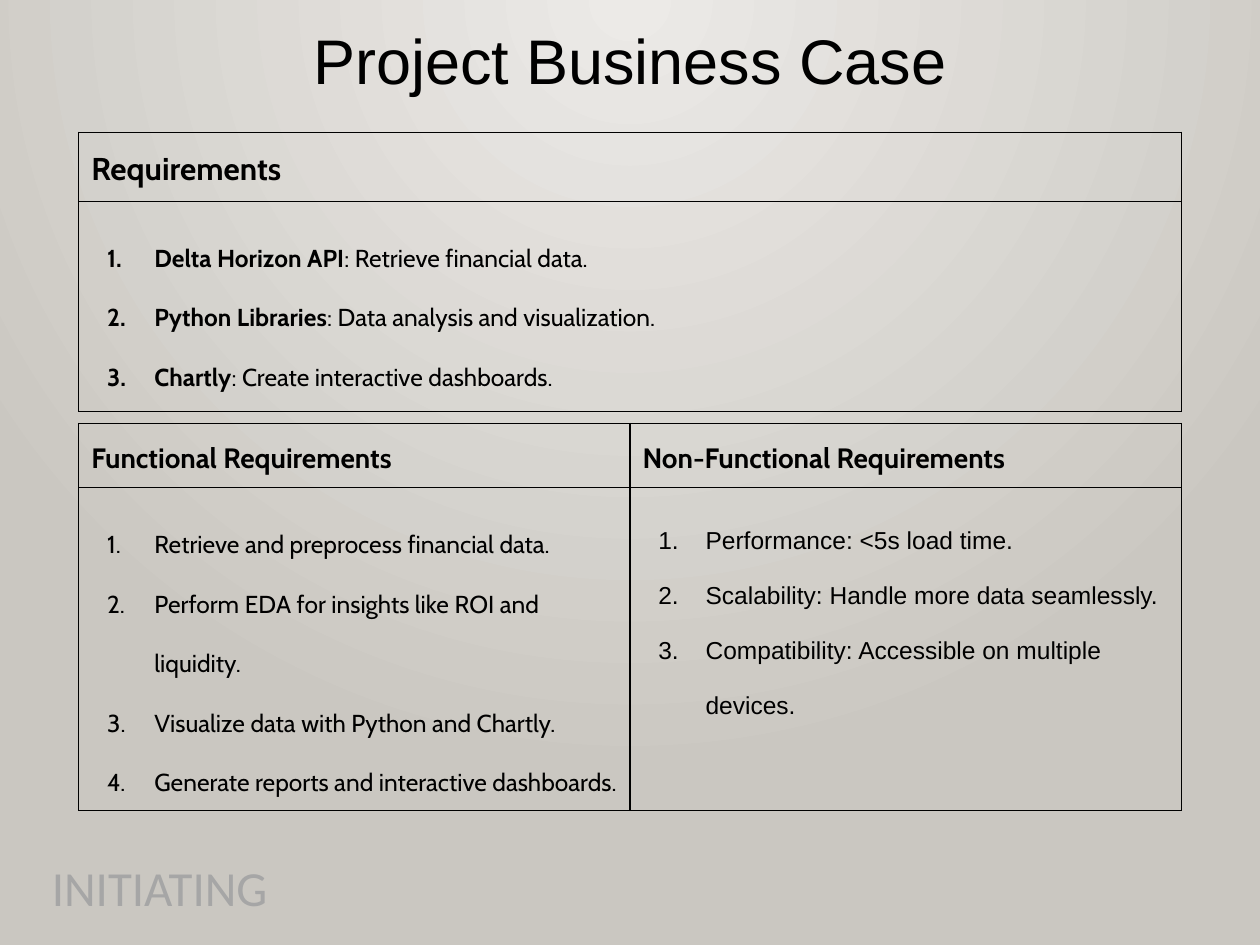
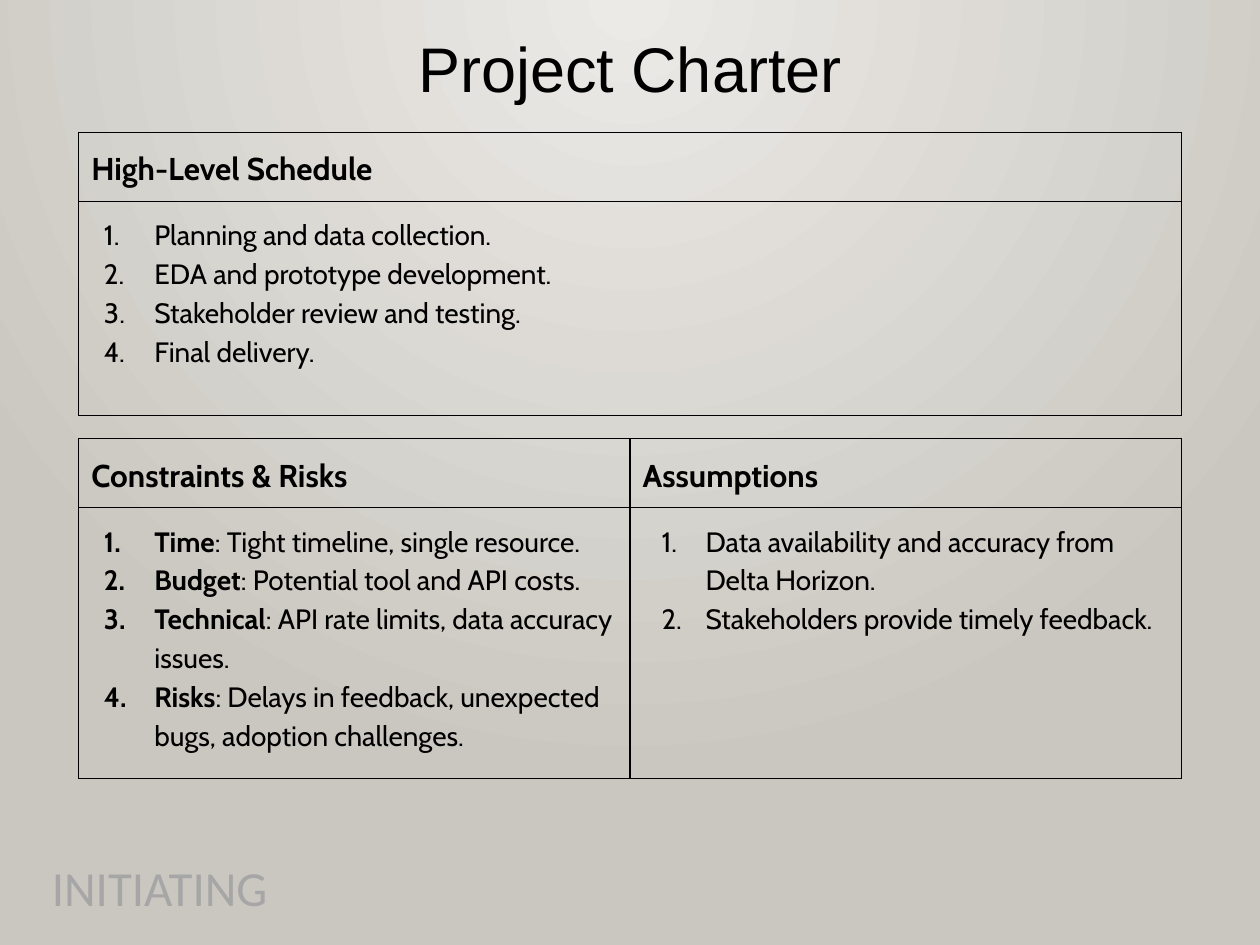
from dataclasses import dataclass

from lxml.etree import SubElement
from pptx import Presentation
from pptx.dml.color import RGBColor
from pptx.enum.text import MSO_ANCHOR, PP_ALIGN
from pptx.oxml import parse_xml
from pptx.oxml.ns import nsdecls, qn
from pptx.util import Pt

COLORS = {"text": "000000", "border": "000000", "footer": "A6A6A6",
          "bg_center": "ECEAE7", "bg_edge": "CAC7C1"}
TITLE_FONT, BODY_FONT, FOOTER_FONT = "Arial", "Cabin", "Calibri"
SLIDE_W, SLIDE_H = 720, 540
TABLE_LEFT, TABLE_W = 45, 630
CELL_MARGIN = 7.2
LIST_INDENT = 36
BORDER_W = 0.75


@dataclass
class Column:
    heading: str
    items: list[str]  # a "Label: text" item has a bold label if bold_labels is set
    bold_labels: bool = False
    font: str = BODY_FONT
    hanging: float = 27


@dataclass
class Grid:
    top: float
    row_heights: tuple[float, float]
    columns: list[Column]
    heading_size: float
    item_size: float
    item_spacing: float


@dataclass
class Page:
    title: str
    title_top: float
    title_height: float
    grids: list[Grid]


PAGES = [
    Page("Project Business Case", 15, 43, [
        Grid(75.5, (39.5, 120), [
            Column("Requirements", [
                "Delta Horizon API: Retrieve financial data.",
                "Python Libraries: Data analysis and visualization.",
                "Chartly: Create interactive dashboards.",
            ], bold_labels=True),
        ], 18, 14, 2),
        Grid(242, (36.5, 184.5), [
            Column("Functional Requirements", [
                "Retrieve and preprocess financial data.",
                "Perform EDA for insights like ROI and liquidity.",
                "Visualize data with Python and Chartly.",
                "Generate reports and interactive dashboards.",
            ]),
            Column("Non-Functional Requirements", [
                "Performance: <5s load time.",
                "Scalability: Handle more data seamlessly.",
                "Compatibility: Accessible on multiple devices.",
            ], font=TITLE_FONT),
        ], 16, 14, 2),
    ]),
    Page("Project Charter", 0, 82.5, [
        Grid(75.5, (39.5, 122.5), [
            Column("High-Level Schedule", [
                "Planning and data collection.",
                "EDA and prototype development.",
                "Stakeholder review and testing.",
                "Final delivery.",
            ], hanging=28.8),
        ], 18, 16, 1.15),
        Grid(250.5, (39.5, 155), [
            Column("Constraints & Risks", [
                "Time: Tight timeline, single resource.",
                "Budget: Potential tool and API costs.",
                "Technical: API rate limits, data accuracy issues.",
                "Risks: Delays in feedback, unexpected bugs, adoption challenges.",
            ], bold_labels=True, hanging=28.8),
            Column("Assumptions", [
                "Data availability and accuracy from Delta Horizon.",
                "Stakeholders provide timely feedback.",
            ], hanging=25.2),
        ], 18, 16, 1.15),
    ]),
]


def add_run(p, text: str, font: str, size: float, bold: bool = False,
            color: str = "text") -> None:
    r = p.add_run()
    r.text = text
    r.font.name, r.font.size, r.font.bold = font, Pt(size), bold
    r.font.color.rgb = RGBColor.from_string(COLORS[color])


def set_background(master) -> None:
    """Circular gradient centred on the top edge."""
    fill = master.background.fill
    fill.gradient()
    for stop, name in zip(fill.gradient_stops, ("bg_center", "bg_edge")):
        stop.color.rgb = RGBColor.from_string(COLORS[name])
    first, last = fill.gradient_stops
    first.position, last.position = 0, 1
    grad = master.element.find(".//" + qn("a:gradFill"))
    grad.replace(grad.find(qn("a:lin")), parse_xml(
        f'<a:path {nsdecls("a")} path="circle">'
        '<a:fillToRect l="43000" t="0" r="43000" b="100000"/></a:path>'))


def add_label(s, text: str, box: tuple[float, float, float, float], font: str,
              size: float, align: PP_ALIGN, color: str = "text") -> None:
    tf = s.shapes.add_textbox(*map(Pt, box)).text_frame
    tf.word_wrap = True
    tf.vertical_anchor = MSO_ANCHOR.MIDDLE
    p = tf.paragraphs[0]
    p.alignment, p.line_spacing = align, 0.9
    add_run(p, text, font, size, color=color)


def style_cell(cell) -> None:
    cell.margin_left = cell.margin_right = Pt(CELL_MARGIN)
    cell.margin_top = cell.margin_bottom = Pt(CELL_MARGIN)
    tc_pr = cell._tc.get_or_add_tcPr()
    for i, side in enumerate(("lnL", "lnR", "lnT", "lnB")):
        tc_pr.insert(i, parse_xml(
            f'<a:{side} {nsdecls("a")} w="{Pt(BORDER_W)}"><a:solidFill>'
            f'<a:srgbClr val="{COLORS["border"]}"/></a:solidFill></a:{side}>'))
    cell.fill.background()


def number_paragraph(p, hanging: float) -> None:
    p_pr = p._p.get_or_add_pPr()
    p_pr.set("marL", str(Pt(LIST_INDENT)))
    p_pr.set("indent", str(-Pt(hanging)))
    SubElement(p_pr, qn("a:buAutoNum"), type="arabicPeriod")


def fill_column(heading_cell, list_cell, col: Column, grid: Grid) -> None:
    p = heading_cell.text_frame.paragraphs[0]
    p.line_spacing = 1.15
    add_run(p, col.heading, BODY_FONT, grid.heading_size, bold=True)

    tf = list_cell.text_frame
    for i, item in enumerate(col.items):
        p = tf.add_paragraph() if i else tf.paragraphs[0]
        p.line_spacing = grid.item_spacing
        number_paragraph(p, col.hanging)
        if col.bold_labels:
            label, colon, rest = item.partition(":")
            add_run(p, label, col.font, grid.item_size, bold=True)
            add_run(p, colon + rest, col.font, grid.item_size)
        else:
            add_run(p, item, col.font, grid.item_size)


def add_grid(s, grid: Grid) -> None:
    count = len(grid.columns)
    table = s.shapes.add_table(2, count, Pt(TABLE_LEFT), Pt(grid.top),
                               Pt(TABLE_W), Pt(sum(grid.row_heights))).table
    table.first_row = table.horz_banding = False
    for row, height in zip(table.rows, grid.row_heights):
        row.height = Pt(height)
    for cell in table.iter_cells():
        style_cell(cell)
    for i, col in enumerate(grid.columns):
        table.columns[i].width = Pt(TABLE_W / count)
        fill_column(table.cell(0, i), table.cell(1, i), col, grid)


def add_page(prs, page: Page) -> None:
    s = prs.slides.add_slide(prs.slide_layouts[6])
    add_label(s, page.title, (0, page.title_top, SLIDE_W, page.title_height),
              TITLE_FONT, 36, PP_ALIGN.CENTER)
    for grid in page.grids:
        add_grid(s, grid)
    # Phase footer
    add_label(s, "INITIATING", (22.5, 488, 240, 42), FOOTER_FONT, 28,
              PP_ALIGN.LEFT, "footer")


def main() -> None:
    prs = Presentation()
    prs.slide_width, prs.slide_height = Pt(SLIDE_W), Pt(SLIDE_H)
    set_background(prs.slide_master)
    for page in PAGES:
        add_page(prs, page)
    prs.save("out.pptx")


if __name__ == "__main__":
    main()
